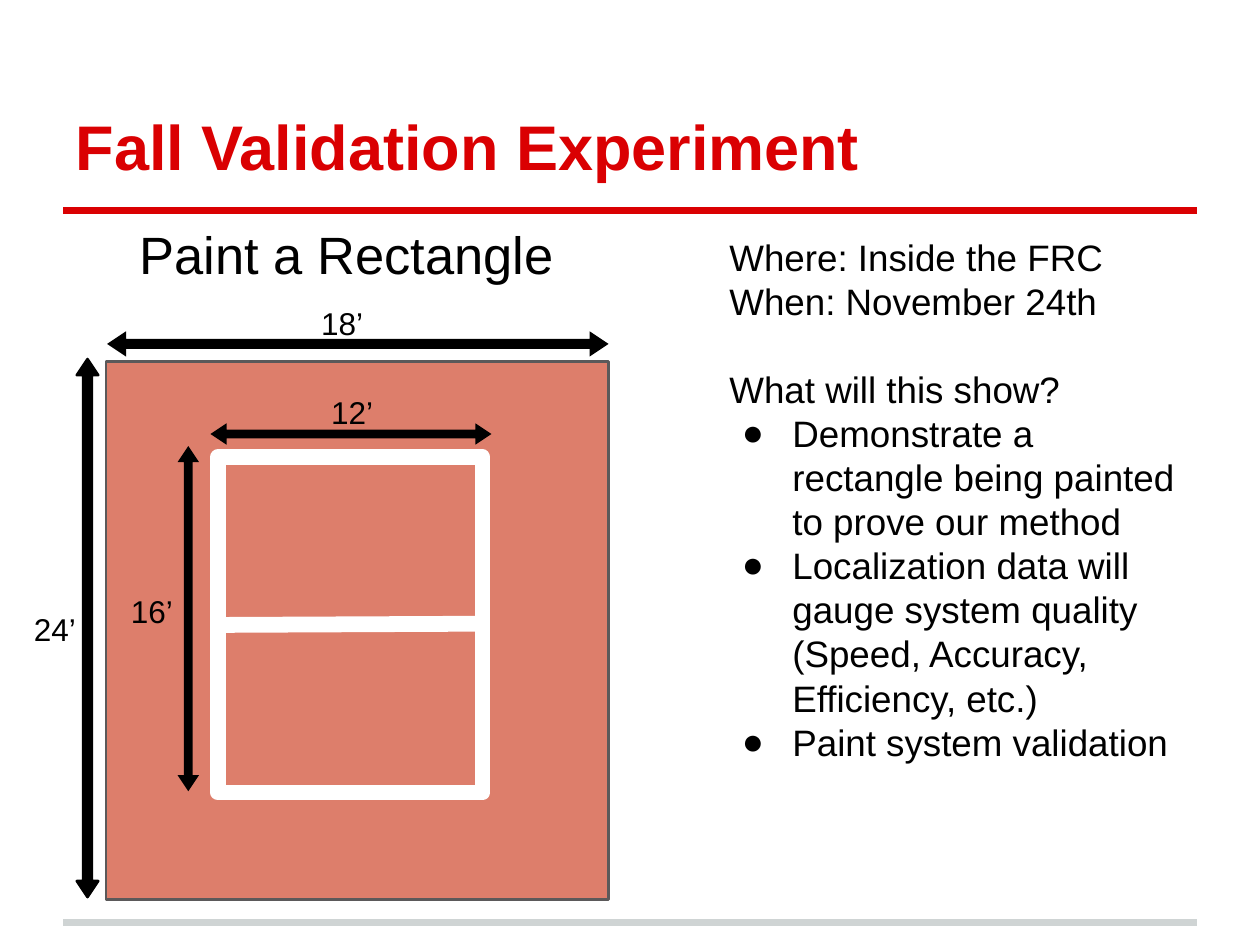
from lxml import etree
from pptx import Presentation
from pptx.dml.color import RGBColor
from pptx.enum.shapes import MSO_CONNECTOR, MSO_SHAPE
from pptx.enum.text import MSO_ANCHOR, PP_ALIGN
from pptx.oxml.ns import qn
from pptx.util import Inches, Pt

RECT = MSO_SHAPE.RECTANGLE
ARROW = MSO_SHAPE.UP_DOWN_ARROW
STRAIGHT = MSO_CONNECTOR.STRAIGHT
TOP, BOTTOM = MSO_ANCHOR.TOP, MSO_ANCHOR.BOTTOM
LEFT = PP_ALIGN.LEFT

FONT = "Arial"
COLORS = {
    "red": "DA0002",
    "gray": "CFD4D4",
    "field": "DD7E6B",
    "border": "5B595A",
    "white": "FFFFFF",
    "black": "000000",
}
DETAILS = [
    # text, bulleted, space before in points
    ("Where: Inside the FRC", False, 0),
    ("When: November 24th", False, 0),
    ("What will this show?", False, 25.2),
    ("Demonstrate a rectangle being painted to prove our method", True, 0),
    ("Localization data will gauge system quality "
     "(Speed, Accuracy, Efficiency, etc.)", True, 0),
    ("Paint system validation", True, 0),
]


def color(name):
    return RGBColor.from_string(COLORS[name])


def add_rule(s, start, end, name, width):
    line = s.shapes.add_connector(STRAIGHT, *map(Inches, start + end))
    line.line.color.rgb = color(name)
    line.line.width = Pt(width)
    etree.SubElement(line._element.spPr, qn("a:effectLst"))


def add_box(s, kind, box, fill=None, line=None, width=0):
    sp = s.shapes.add_shape(kind, *map(Inches, box))
    sp.shadow.inherit = False
    if fill:
        sp.fill.solid()
        sp.fill.fore_color.rgb = color(fill)
    else:
        sp.fill.background()
    if line:
        sp.line.color.rgb = color(line)
        sp.line.width = Pt(width)
    else:
        sp.line.fill.background()
    return sp


def add_arrow(s, box, rotation=0, line=None, width=0):
    """Double-headed arrow; the box is given before rotation."""
    sp = add_box(s, ARROW, box, "black", line, width)
    sp.rotation = rotation
    # Guides are written by name: python-pptx mislabels this shape's second one.
    guides = sp._element.spPr.find(qn("a:prstGeom")).find(qn("a:avLst"))
    for guide in list(guides):
        guides.remove(guide)
    for name, value in [("adj1", 40300), ("adj2", 75000)]:
        etree.SubElement(guides, qn("a:gd"), name=name, fmla=f"val {value}")


def set_frame(tf, anchor=TOP):
    tf.word_wrap = True
    tf.vertical_anchor = anchor
    tf.margin_left = tf.margin_right = Inches(0.1)
    tf.margin_top = tf.margin_bottom = Inches(0.1)


def add_run(p, text, size, name="black", bold=False):
    p.alignment = LEFT
    r = p.add_run()
    r.text = text
    r.font.name = FONT
    r.font.size = Pt(size)
    r.font.bold = bold
    r.font.color.rgb = color(name)


def add_bullet(p):
    pPr = p._p.get_or_add_pPr()
    pPr.set("marL", str(Inches(0.5)))
    pPr.set("indent", str(Inches(-0.4)))
    etree.SubElement(pPr, qn("a:buFont"), typeface=FONT)
    etree.SubElement(pPr, qn("a:buChar"), char="●")


def add_title(s):
    title = s.shapes.title
    title.left, title.top = Inches(0.5), Inches(0.3)
    title.width, title.height = Inches(9), Inches(1.25)
    set_frame(title.text_frame, BOTTOM)
    add_run(title.text_frame.paragraphs[0], "Fall Validation Experiment",
            36, "red", True)


def add_text(s, box, text, size):
    tf = s.shapes.add_textbox(*map(Inches, box)).text_frame
    set_frame(tf)
    add_run(tf.paragraphs[0], text, size)


def add_details(s):
    tf = add_box(s, RECT, (5.69, 1.76, 3.81, 5.36), None, "white", 3).text_frame
    set_frame(tf)
    for i, (text, bulleted, before) in enumerate(DETAILS):
        p = tf.add_paragraph() if i else tf.paragraphs[0]
        if bulleted:
            add_bullet(p)
        if before:
            p.space_before = Pt(before)
        add_run(p, text, 21)


def add_field(s):
    """Field with the rectangle to paint, and their dimensions in feet."""
    add_box(s, RECT, (0.84, 2.87, 3.99, 4.27), "field", "border", 1.5)
    add_box(s, RECT, (1.73, 3.63, 2.1, 2.66), "field", "white", 9)
    add_rule(s, (3.83, 4.95), (1.73, 4.96), "white", 9)

    add_arrow(s, (2.74, 0.74, 0.2, 3.98), 90)
    add_arrow(s, (0.61, 2.85, 0.17, 4.27), 0, "black", 1.5)
    add_arrow(s, (2.7, 2.33, 0.17, 2.23), 90)
    add_arrow(s, (1.41, 3.54, 0.17, 2.74))

    for left, top, text in [(2.45, 2.31, "18’"), (0.17, 4.74, "24’"),
                            (2.53, 3.02, "12’"), (0.94, 4.6, "16’")]:
        add_text(s, (left, top, 0.68, 0.44), text, 18)


def main():
    prs = Presentation()
    prs.slide_width, prs.slide_height = Inches(10), Inches(7.5)
    s = prs.slides.add_slide(prs.slide_layouts[5])
    add_rule(s, (0.5, 7.32), (9.5, 7.32), "gray", 4)
    add_rule(s, (0.5, 1.67), (9.5, 1.67), "red", 4)
    add_title(s)
    add_details(s)
    add_text(s, (1.01, 1.66, 3.81, 0.83), "Paint a Rectangle", 30)
    add_field(s)
    prs.save("out.pptx")


if __name__ == "__main__":
    main()
